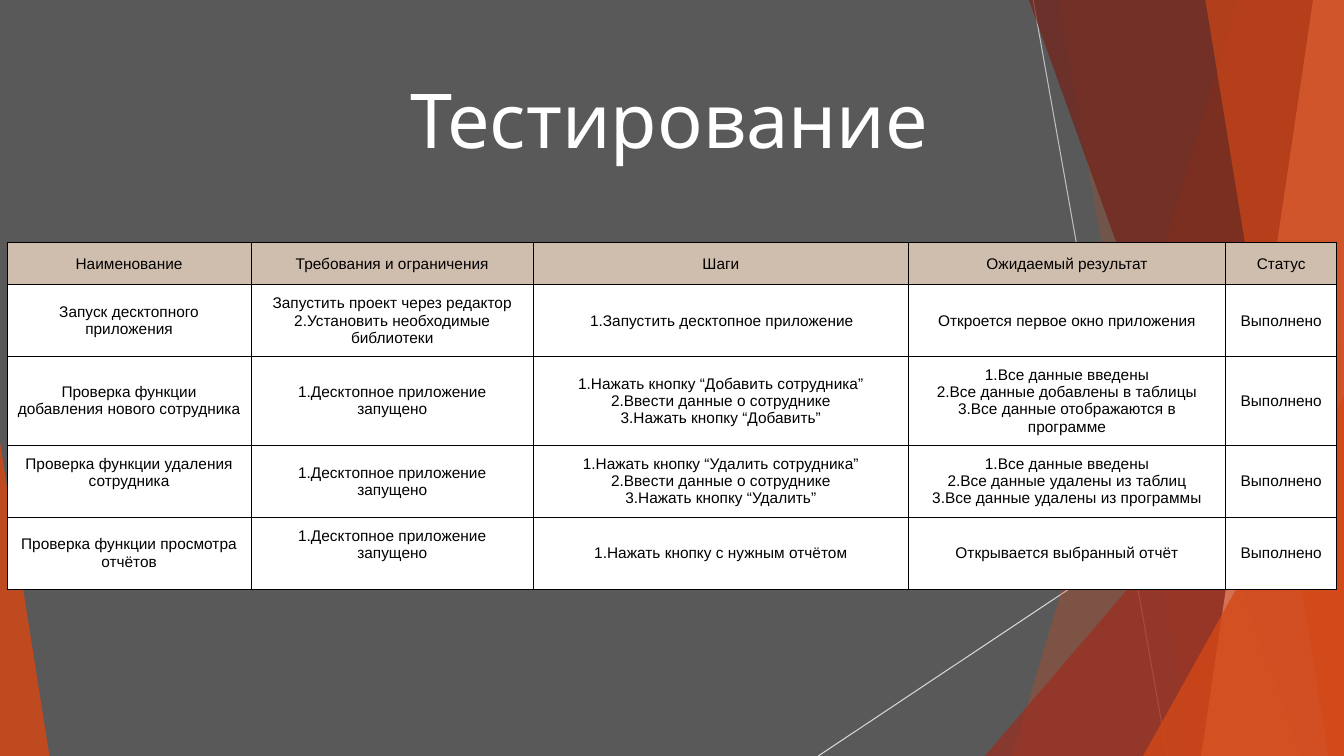
from pptx import Presentation
from pptx.dml.color import RGBColor
from pptx.enum.shapes import MSO_CONNECTOR, MSO_SHAPE
from pptx.enum.text import MSO_ANCHOR, PP_ALIGN
from pptx.oxml.ns import qn
from pptx.util import Pt
from lxml.etree import SubElement

SLIDE_W, SLIDE_H = 960, 540

GREY = RGBColor(0x59, 0x59, 0x59)
ORANGE = RGBColor(0xD3, 0x48, 0x17)
RED = RGBColor(0x9B, 0x2D, 0x1F)
MAROON = RGBColor(0x74, 0x21, 0x17)
PEACH = RGBColor(0xEF, 0x8B, 0x67)
SILVER = RGBColor(0xBF, 0xBF, 0xBF)
LIGHT = RGBColor(0xD8, 0xD8, 0xD8)
SAND = RGBColor(0xCF, 0xBE, 0xAD)
WHITE = RGBColor(0xFF, 0xFF, 0xFF)
BLACK = RGBColor(0x00, 0x00, 0x00)

COLUMN_WIDTHS = [174.5, 201.5, 268, 226.5, 79.5]
ROW_HEIGHTS = [30, 50.5, 63.5, 50.5, 51.5]
DONE = "Выполнено"
APP_RUNNING = "1.Десктопное приложение запущено"
ENTER_DATA = "2.Ввести данные о сотруднике"
DATA_ENTERED = "1.Все данные введены"

# Each line of a cell is a paragraph
TEST_CASES = [
    ["Наименование", "Требования и ограничения", "Шаги", "Ожидаемый результат", "Статус"],
    ["Запуск десктопного приложения",
     "Запустить проект через редактор\n2.Установить необходимые библиотеки",
     "Запустить десктопное приложение",
     "Откроется первое окно приложения", DONE],
    ["Проверка функции добавления нового сотрудника", APP_RUNNING,
     f"1.Нажать кнопку “Добавить сотрудника”\n{ENTER_DATA}\n3.Нажать кнопку “Добавить”",
     f"{DATA_ENTERED}\n2.Все данные добавлены в таблицы\n3.Все данные отображаются в программе",
     DONE],
    ["Проверка функции удаления сотрудника", APP_RUNNING,
     f"1.Нажать кнопку “Удалить сотрудника”\n{ENTER_DATA}\n3.Нажать кнопку “Удалить”",
     f"{DATA_ENTERED}\n2.Все данные удалены из таблиц\n3.Все данные удалены из программы",
     DONE],
    ["Проверка функции просмотра отчётов", APP_RUNNING,
     "1.Нажать кнопку с нужным отчётом", "Открывается выбранный отчёт", DONE],
]
TOP_CELLS = {(3, 0), (4, 1)}
NUMBERED_CELL = (1, 2)


def paint(shape, color, opacity):
    shape.shadow.inherit = False
    shape.line.fill.background()
    shape.fill.solid()
    shape.fill.fore_color.rgb = color
    srgb = shape._element.spPr.find(f".//{qn('a:srgbClr')}")
    SubElement(srgb, qn("a:alpha"), val=str(opacity * 1000))


def add_ray(slide, start, end, color):
    ray = slide.shapes.add_connector(
        MSO_CONNECTOR.STRAIGHT, *(Pt(value) for value in start + end))
    ray.line.color.rgb = color
    ray.line.width = Pt(0.75)
    SubElement(ray._element.spPr, qn("a:effectLst"))


def add_panel(slide, top_x, bottom_x, color, opacity):
    """Full-height panel with a slanted left edge, against the right side."""
    outline = slide.shapes.build_freeform(Pt(top_x), 0)
    outline.add_line_segments([
        (Pt(SLIDE_W), 0), (Pt(SLIDE_W), Pt(SLIDE_H)), (Pt(bottom_x), Pt(SLIDE_H))])
    paint(outline.convert_to_shape(), color, opacity)


def add_corner(slide, left, top, width, apex, color, opacity):
    """Triangle standing on the bottom edge of the slide."""
    corner = slide.shapes.add_shape(
        MSO_SHAPE.ISOSCELES_TRIANGLE, Pt(left), Pt(top), Pt(width), Pt(SLIDE_H - top))
    corner.adjustments[0] = apex
    paint(corner, color, opacity)


def add_text(paragraph, text, font, size, color):
    run = paragraph.add_run()
    run.text = text
    run.font.name = font
    run.font.size = Pt(size)
    run.font.color.rgb = color


def add_title(slide, text):
    title = slide.shapes.title
    title.left, title.top, title.width, title.height = Pt(286), Pt(14.4), Pt(388), Pt(106)
    frame = title.text_frame
    frame.word_wrap = True
    frame.vertical_anchor = MSO_ANCHOR.BOTTOM
    frame.margin_left, frame.margin_right = Pt(7.2), 0
    frame.margin_top = frame.margin_bottom = Pt(3.6)
    frame.paragraphs[0].alignment = PP_ALIGN.LEFT
    add_text(frame.paragraphs[0], text, "Cabin", 54, WHITE)


def add_borders(cell):
    properties = cell._tc.get_or_add_tcPr()
    for side in ("lnL", "lnR", "lnT", "lnB"):
        border = SubElement(properties, qn(f"a:{side}"), w=str(Pt(0.75)))
        fill = SubElement(border, qn("a:solidFill"))
        SubElement(fill, qn("a:srgbClr"), val=str(BLACK))


def number(paragraph):
    properties = paragraph._p.get_or_add_pPr()
    properties.set("marL", str(Pt(7.2)))
    properties.set("indent", str(Pt(-5.8)))
    bullet_color = SubElement(properties, qn("a:buClr"))
    SubElement(bullet_color, qn("a:srgbClr"), val=str(BLACK))
    SubElement(properties, qn("a:buAutoNum"), type="arabicPeriod")


def fill_cell(cell, text, background, anchor):
    add_borders(cell)
    cell.fill.solid()
    cell.fill.fore_color.rgb = background
    cell.vertical_anchor = anchor
    cell.margin_left = cell.margin_right = Pt(7.2)
    cell.margin_top = cell.margin_bottom = Pt(7.2)
    frame = cell.text_frame
    for index, line in enumerate(text.split("\n")):
        paragraph = frame.add_paragraph() if index else frame.paragraphs[0]
        paragraph.alignment = PP_ALIGN.CENTER
        add_text(paragraph, line, "Arial", 11, BLACK)


def add_test_table(slide):
    test_table = slide.shapes.add_table(
        len(TEST_CASES), len(COLUMN_WIDTHS), Pt(5), Pt(173.5),
        Pt(sum(COLUMN_WIDTHS)), Pt(sum(ROW_HEIGHTS))).table
    test_table.first_row = test_table.horz_banding = False
    for column, width in zip(test_table.columns, COLUMN_WIDTHS):
        column.width = Pt(width)
    for row, height in zip(test_table.rows, ROW_HEIGHTS):
        row.height = Pt(height)
    for r, case in enumerate(TEST_CASES):
        for c, text in enumerate(case):
            anchor = MSO_ANCHOR.TOP if (r, c) in TOP_CELLS else MSO_ANCHOR.MIDDLE
            fill_cell(test_table.cell(r, c), text, WHITE if r else SAND, anchor)
    number(test_table.cell(*NUMBERED_CELL).text_frame.paragraphs[0])


def add_backdrop(slide):
    slide.background.fill.solid()
    slide.background.fill.fore_color.rgb = GREY
    add_ray(slide, (738, 0), (834, SLIDE_H), SILVER)
    add_ray(slide, (SLIDE_W, 290), (584.5, SLIDE_H), LIGHT)
    add_panel(slide, 884, 723, ORANGE, 30)
    add_panel(slide, 756, 852, ORANGE, 20)
    add_corner(slide, 703.5, 240, 256.5, 1, RED, 72)
    add_panel(slide, 735, 929.5, MAROON, 70)
    add_panel(slide, 938, 858, PEACH, 70)
    add_panel(slide, 861, 949, ORANGE, 65)
    add_corner(slide, 816.5, 283, 143.5, 1, ORANGE, 80)
    add_corner(slide, 0, 316, 35.3, 0, ORANGE, 85)


def main():
    deck = Presentation()
    deck.slide_width, deck.slide_height = Pt(SLIDE_W), Pt(SLIDE_H)
    slide = deck.slides.add_slide(deck.slide_layouts[5])
    add_backdrop(slide)
    add_title(slide, "Тестирование")
    add_test_table(slide)
    deck.save("out.pptx")


if __name__ == "__main__":
    main()
